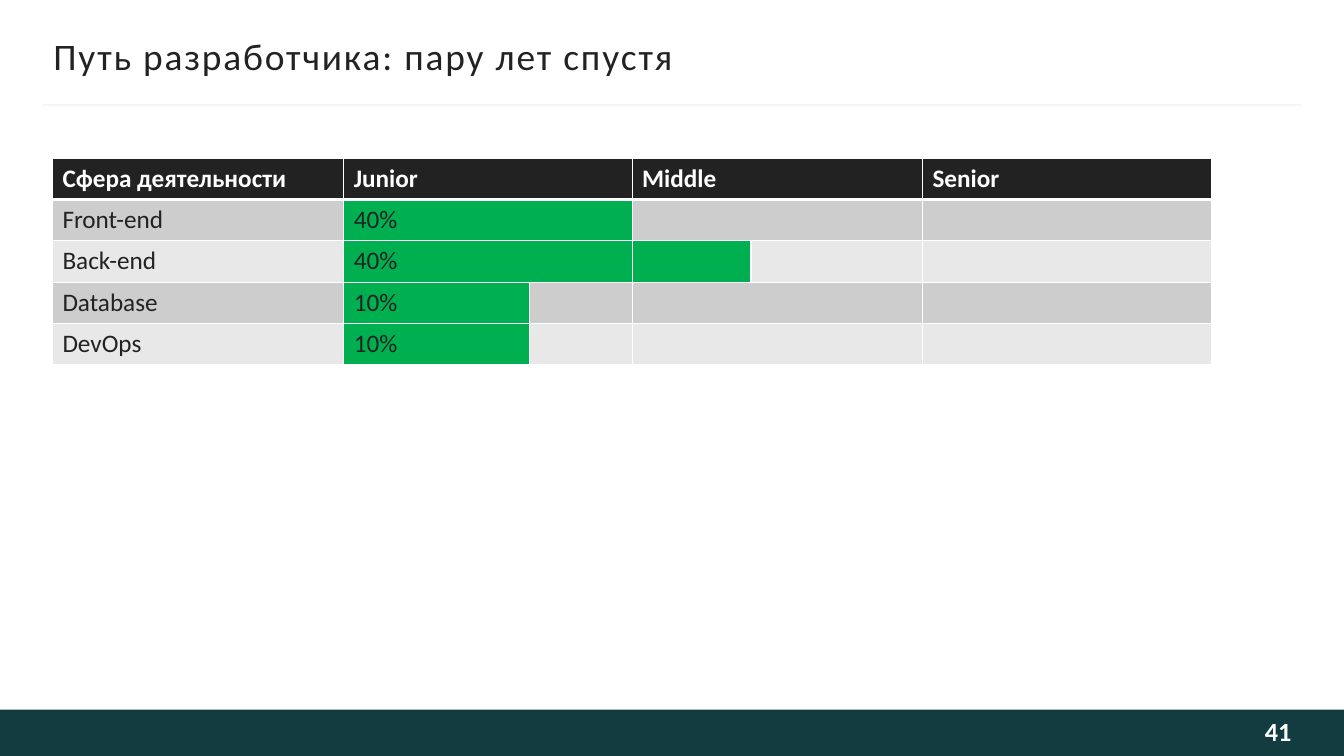
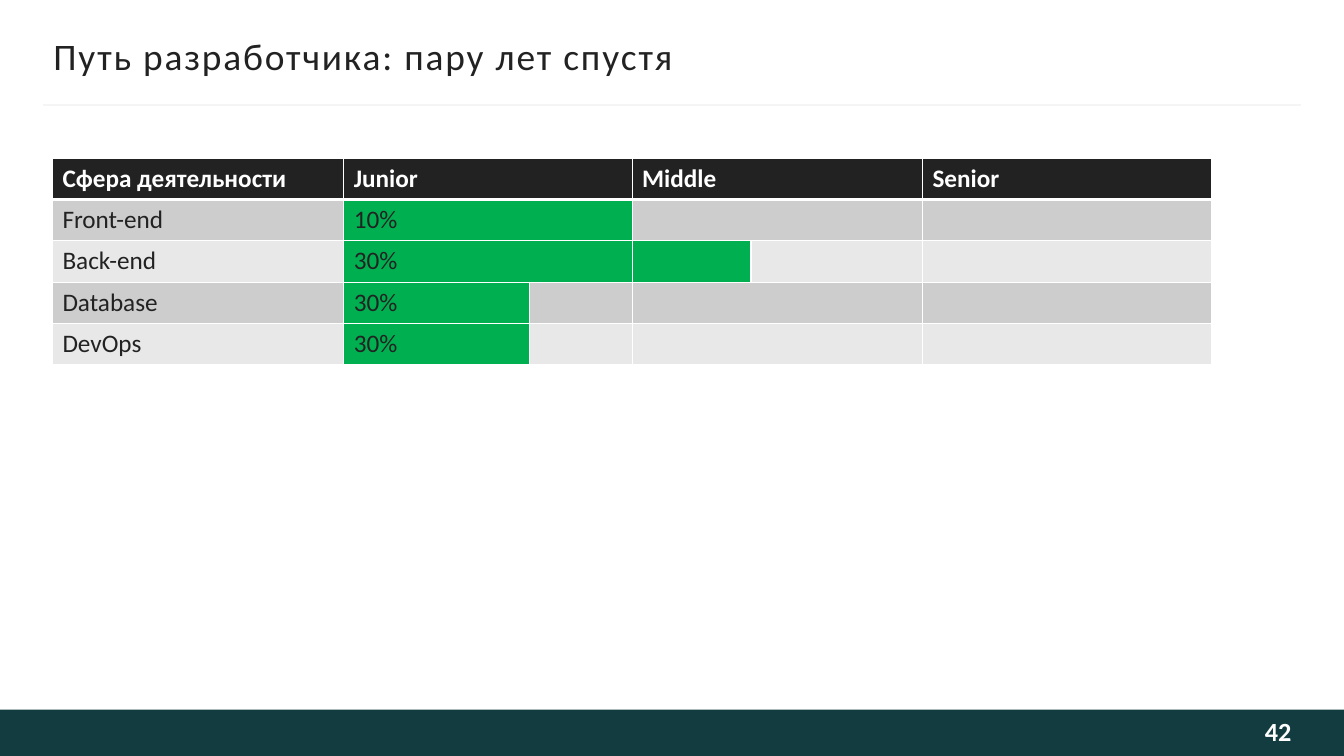
"""Build two slides that chart a developer's progress by field and level."""
from lxml import etree
from pptx import Presentation
from pptx.dml.color import RGBColor
from pptx.enum.shapes import MSO_CONNECTOR, MSO_SHAPE
from pptx.enum.text import MSO_ANCHOR, MSO_AUTO_SIZE, PP_ALIGN
from pptx.oxml.ns import qn
from pptx.util import Inches, Pt

FONT = "Calibri"
INK = RGBColor(0x22, 0x22, 0x22)
WHITE = RGBColor(0xFF, 0xFF, 0xFF)
PAGE_WHITE = RGBColor(0xFE, 0xFE, 0xFE)
BAND = RGBColor(0x13, 0x3C, 0x41)
RULE = RGBColor(0xF5, 0xF5, 0xF5)
PROGRESS = RGBColor(0x00, 0xB0, 0x50)
STRIPES = (RGBColor(0xCD, 0xCD, 0xCD), RGBColor(0xE8, 0xE8, 0xE8))

SLIDE_WIDTH, SLIDE_HEIGHT = Inches(13.33), Inches(7.5)
BAND_TOP, BAND_HEIGHT = Inches(7.04), Inches(0.46)
COLUMN_WIDTHS = (2.89, 1.84, 1.02, 1.18, 1.7, 2.87)
ROW_HEIGHT = 0.41

TITLE = "Путь разработчика: пару лет спустя"
HEADINGS = {0: "Сфера деятельности", 1: "Junior", 3: "Middle", 5: "Senior"}
SPLIT_LEVELS = (1, 3)
FIELDS = (("Front-end", 2), ("Back-end", 3), ("Database", 1), ("DevOps", 1))
PAGES = (
    (41, ("40%", "40%", "10%", "10%")),
    (42, ("10%", "30%", "30%", "30%")),
)


def add_run(paragraph, text, size, color, bold=False):
    run = paragraph.add_run()
    run.text = text
    run.font.name = FONT
    run.font.size = Pt(size)
    run.font.bold = bold
    run.font.color.rgb = color
    return run


def set_frame(frame, left, top, right, bottom):
    frame.margin_left, frame.margin_top = Inches(left), Inches(top)
    frame.margin_right, frame.margin_bottom = Inches(right), Inches(bottom)
    frame.vertical_anchor = MSO_ANCHOR.MIDDLE
    frame.auto_size = MSO_AUTO_SIZE.NONE
    frame.word_wrap = True


def add_frame(slide, page_number):
    band = slide.shapes.add_shape(
        MSO_SHAPE.RECTANGLE, 0, BAND_TOP, SLIDE_WIDTH, BAND_HEIGHT)
    band.shadow.inherit = False
    band.fill.solid()
    band.fill.fore_color.rgb = BAND
    band.line.fill.background()

    rule = slide.shapes.add_connector(
        MSO_CONNECTOR.STRAIGHT, Inches(0.43), Inches(1.04), Inches(12.9), Inches(1.04))
    rule.line.color.rgb = RULE
    rule.line.width = Pt(1.5)
    etree.SubElement(rule.element.spPr, qn("a:effectLst"))

    title = slide.shapes.title
    title.left, title.top = Inches(0.53), Inches(0.33)
    title.width, title.height = Inches(12.29), Inches(0.44)
    set_frame(title.text_frame, 0, 0.05, 0, 0.05)
    heading = title.text_frame.paragraphs[0]
    heading.alignment = PP_ALIGN.LEFT
    run = add_run(heading, TITLE, 26.7, INK)
    run.font.element.set("spc", "130") if hasattr(run.font, "element") else \
        run._r.get_or_add_rPr().set("spc", "130")

    page = slide.shapes.add_textbox(Inches(10.81), BAND_TOP, Inches(2), BAND_HEIGHT)
    set_frame(page.text_frame, 0.1, 0.05, 0, 0.09)
    number = page.text_frame.paragraphs[0]
    number.alignment = PP_ALIGN.RIGHT
    add_run(number, str(page_number), 18.7, PAGE_WHITE, True)


def set_borders(cell, top, bottom):
    properties = cell._tc.get_or_add_tcPr()
    widths = (("a:lnL", 1), ("a:lnR", 1), ("a:lnT", top), ("a:lnB", bottom))
    for position, (tag, width) in enumerate(widths):
        border = etree.Element(qn(tag), w=str(Pt(width)))
        fill = etree.SubElement(border, qn("a:solidFill"))
        etree.SubElement(fill, qn("a:srgbClr"), val=str(WHITE))
        properties.insert(position, border)


def fill_row(table, row, texts, colors, reached, text_color, bold):
    for column, color in enumerate(colors):
        cell = table.cell(row, column)
        cell.fill.solid()
        cell.fill.fore_color.rgb = color
        set_borders(cell, 3 if row == 1 else 1, 3 if row == 0 else 1)
        if column in texts:
            add_run(cell.text_frame.paragraphs[0], texts[column], 18, text_color, bold)
    for first in SPLIT_LEVELS:
        if reached != first:
            table.cell(row, first).merge(table.cell(row, first + 1))


def add_progress_table(slide, shares):
    row_count = len(FIELDS) + 1
    table = slide.shapes.add_table(
        row_count, len(COLUMN_WIDTHS), Inches(0.52), Inches(1.57),
        Inches(sum(COLUMN_WIDTHS)), Inches(ROW_HEIGHT * row_count)).table
    for column, width in zip(table.columns, COLUMN_WIDTHS):
        column.width = Inches(width)
    for table_row in table.rows:
        table_row.height = Inches(ROW_HEIGHT)

    fill_row(table, 0, HEADINGS, [INK] * len(COLUMN_WIDTHS), 0, WHITE, True)
    for row, ((field, reached), share) in enumerate(zip(FIELDS, shares), 1):
        stripe = STRIPES[(row - 1) % 2]
        colors = [PROGRESS if 1 <= column <= reached else stripe
                  for column in range(len(COLUMN_WIDTHS))]
        fill_row(table, row, {0: field, 1: share}, colors, reached, INK, False)


def main():
    deck = Presentation()
    deck.slide_width, deck.slide_height = SLIDE_WIDTH, SLIDE_HEIGHT
    for page_number, shares in PAGES:
        slide = deck.slides.add_slide(deck.slide_layouts[5])
        add_frame(slide, page_number)
        add_progress_table(slide, shares)
    deck.save("out.pptx")


if __name__ == "__main__":
    main()
